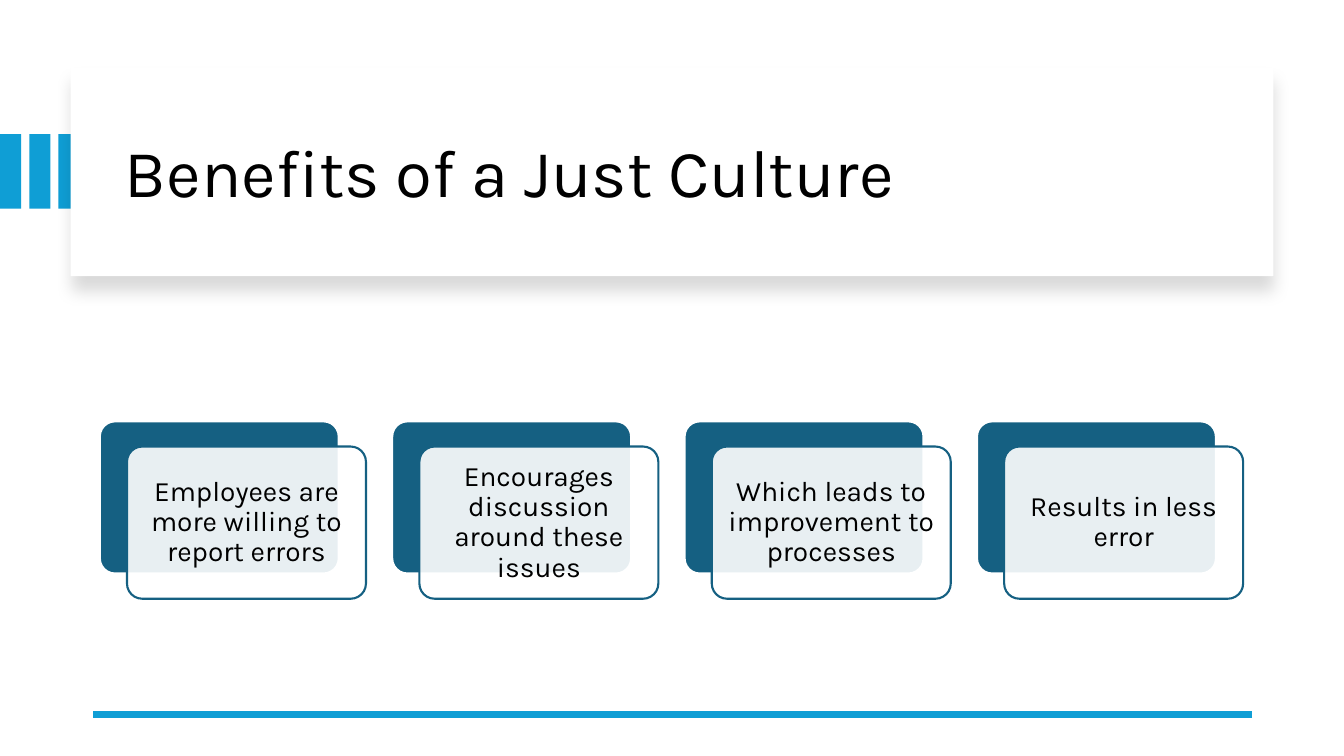
from lxml import etree
from pptx import Presentation
from pptx import util as u
from pptx.dml.color import RGBColor
from pptx.enum import shapes, text
from pptx.oxml import parse_xml
from pptx.oxml.ns import nsdecls, qn

WHITE = RGBColor(0xFF, 0xFF, 0xFF)
BLACK = RGBColor(0x00, 0x00, 0x00)
SKY = RGBColor(0x0F, 0x9E, 0xD5)
TEAL = RGBColor(0x15, 0x60, 0x82)

BENEFITS = [
    "Employees are more willing to report errors",
    "Encourages discussion around these issues",
    "Which leads to improvement to processes",
    "Results in less error",
]


class Deck:
    font = "Karla"
    line_spacing = 0.9

    def __init__(self, width, height):
        self.prs = Presentation()
        self.prs.slide_width = u.Inches(width)
        self.prs.slide_height = u.Inches(height)
        self.s = self.prs.slides.add_slide(self.prs.slide_layouts[6])

    def box(self, x, y, w, h, fill, line=None, radius=None, opacity=None):
        kind = shapes.MSO_SHAPE.RECTANGLE
        if radius is not None:
            kind = shapes.MSO_SHAPE.ROUNDED_RECTANGLE
        sp = self.s.shapes.add_shape(kind, *map(u.Inches, (x, y, w, h)))
        if radius is not None:
            sp.adjustments[0] = radius
        sp.shadow.inherit = False
        sp.fill.solid()
        sp.fill.fore_color.rgb = fill
        if opacity is not None:
            color = sp._element.spPr.find(qn("a:solidFill"))[0]
            etree.SubElement(color, qn("a:alpha"), val=str(opacity * 1000))
        if line is None:
            sp.line.fill.background()
        else:
            sp.line.color.rgb = line
            sp.line.width = u.Pt(1.5)
        return sp

    def drop_shadow(self, sp, blur, distance, opacity):
        effects = sp._element.spPr.find(qn("a:effectLst"))
        effects.append(parse_xml(
            f'<a:outerShdw {nsdecls("a")} blurRad="{u.Pt(blur)}" dist="{u.Pt(distance)}" '
            f'dir="5400000" algn="t" rotWithShape="0"><a:srgbClr val="{BLACK}">'
            f'<a:alpha val="{opacity * 1000}"/></a:srgbClr></a:outerShdw>'))

    def set_words(self, sp, words, size, align):
        tf = sp.text_frame
        tf.word_wrap = True
        tf.vertical_anchor = text.MSO_ANCHOR.MIDDLE
        p = tf.paragraphs[0]
        p.text = words
        p.alignment = align
        p.line_spacing = self.line_spacing
        r = p.runs[0]
        r.font.name = self.font
        r.font.size = u.Pt(size)
        r.font.color.rgb = BLACK
        return tf

    def textbox(self, x, y, w, h, words, size):
        sp = self.s.shapes.add_textbox(*map(u.Inches, (x, y, w, h)))
        self.set_words(sp, words, size, text.PP_ALIGN.LEFT)

    def rule(self, x1, x2, y, color, width):
        line = self.s.shapes.add_connector(
            shapes.MSO_CONNECTOR.STRAIGHT, *map(u.Inches, (x1, y, x2, y)))
        line.line.color.rgb = color
        line.line.width = u.Pt(width)
        etree.SubElement(line._element.spPr, qn("a:effectLst"))

    def card(self, x, y, words):
        w, h = 2.37, 1.51
        self.box(x, y, w, h, TEAL, WHITE, radius=0.1)
        front = self.box(x + 0.27, y + 0.25, w, h, WHITE, TEAL, radius=0.1, opacity=90)
        tf = self.set_words(front, words, 20, text.PP_ALIGN.CENTER)
        tf.margin_left = tf.margin_right = u.Inches(0.08)
        tf.margin_top = tf.margin_bottom = u.Inches(0.08)


def main():
    deck = Deck(13.33, 7.5)

    # Accent bars at the left edge
    for i in range(3):
        deck.box(0.29 * i, 1.33, 0.21, 0.74, SKY)

    # Title panel
    panel = deck.box(0.7, 0.67, 11.93, 2.07, WHITE)
    deck.drop_shadow(panel, blur=11, distance=10, opacity=15)
    deck.textbox(1.14, 0.89, 11.13, 1.7, "Benefits of a Just Culture", 48)

    # Footer rule
    deck.rule(12.42, 0.92, 7.09, SKY, 4.5)

    # Benefit cards
    for i, benefit in enumerate(BENEFITS):
        deck.card(0.99 + 2.9 * i, 4.18, benefit)

    deck.prs.save("out.pptx")


if __name__ == "__main__":
    main()
